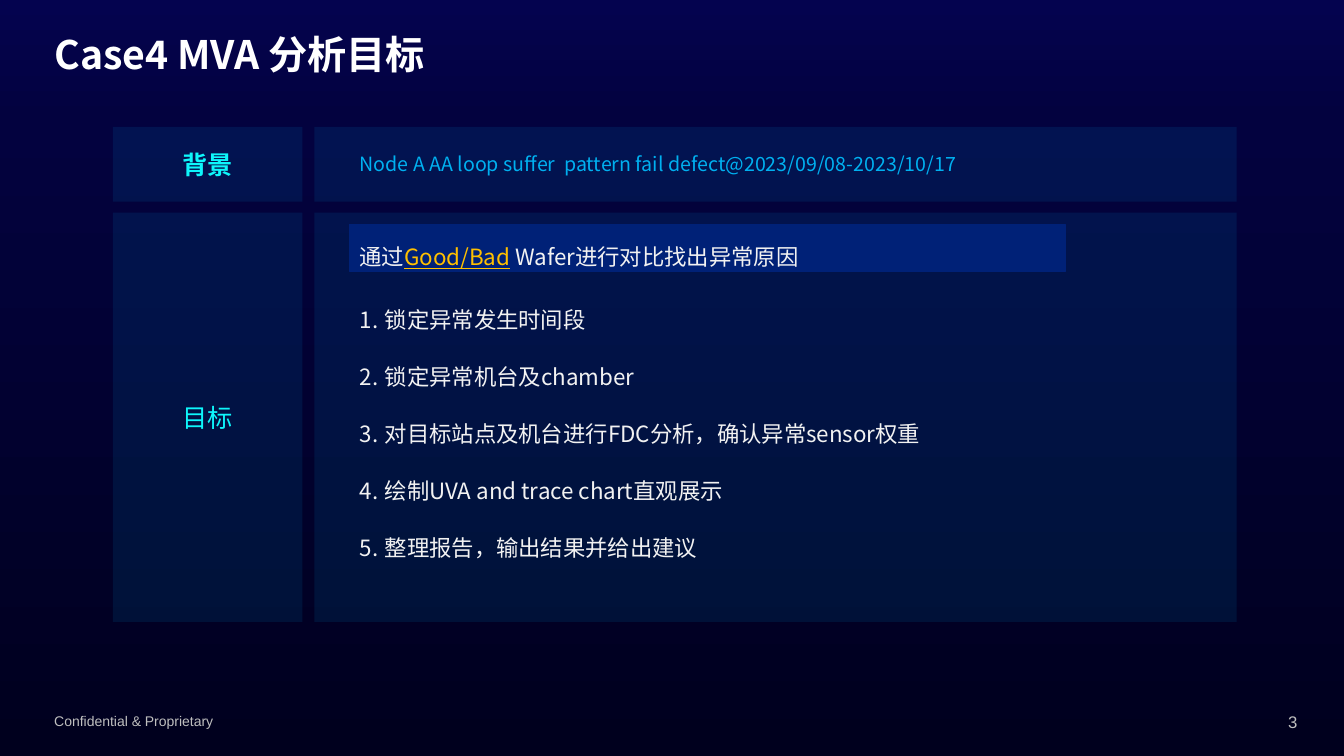
from lxml import etree
from pptx import Presentation
from pptx.dml.color import RGBColor
from pptx.enum.shapes import MSO_SHAPE
from pptx.enum.text import MSO_ANCHOR, PP_ALIGN
from pptx.oxml.ns import qn
from pptx.util import Pt

RECT = MSO_SHAPE.RECTANGLE
TOP, MIDDLE = MSO_ANCHOR.TOP, MSO_ANCHOR.MIDDLE
LEFT, CENTER, RIGHT = PP_ALIGN.LEFT, PP_ALIGN.CENTER, PP_ALIGN.RIGHT
JUSTIFY = PP_ALIGN.JUSTIFY
SANS, ARIAL = "Noto Sans CJK SC", "Arial"
HEX = {
    "sky": "00B0F0", "cyan": "0EF6FB", "navy": "002177", "gold": "FFC000",
    "pale": "F2F2F2", "white": "FFFFFF", "gray": "BFBFBF", "black": "000000",
    "dusk": "04034F", "deep": "03023F", "night": "00001E",
}
STOPS = [(0, "dusk"), (16, "deep"), (100, "night")]
GOALS = [
    "锁定异常发生时间段",
    "锁定异常机台及chamber",
    "对目标站点及机台进行FDC分析，确认异常sensor权重",
    "绘制UVA and trace chart直观展示",
    "整理报告，输出结果并给出建议",
]
LABEL = {"size": Pt(18), "name": SANS}
ITEM = {"size": Pt(16), "name": SANS}
LOOSE = {"alignment": JUSTIFY, "line_spacing": Pt(28.7), "space_after": Pt(12)}


def node(parent, tag, **attrs):
    """Append a drawing element with the given attributes."""
    child = etree.SubElement(parent, qn(tag))
    for key, value in attrs.items():
        child.set(key, str(value))
    return child


def style(thing, form):
    """Set each format value on the object."""
    for key, value in form.items():
        setattr(thing, key, value)


def write(para, text, color, form):
    """Add a run in one colour and font."""
    run = para.add_run()
    run.text = text
    style(run.font, form)
    run.font.color.rgb = RGBColor.from_string(HEX[color])
    node(run.font._element, "a:ea", typeface=form["name"])
    return run


def note(slide, box, text, color, form, align=LEFT):
    """Place a single line of free text in the box."""
    frame = slide.shapes.add_textbox(*map(Pt, box)).text_frame
    frame.word_wrap = True
    frame.paragraphs[0].alignment = align
    write(frame.paragraphs[0], text, color, form)


def panel(slide, box, color, alpha=100):
    """Draw a flat rectangle and return it."""
    shape = slide.shapes.add_shape(RECT, *map(Pt, box))
    shape.shadow.inherit = False
    shape.line.fill.background()
    shape.fill.solid()
    shape.fill.fore_color.rgb = RGBColor.from_string(HEX[color])
    if alpha < 100:
        tint = shape.fill._xPr.find(".//" + qn("a:srgbClr"))
        node(tint, "a:alpha", val=alpha * 1000)
    return shape


def backdrop(slide):
    """Fill the background with a vertical gradient."""
    fill = slide.background.fill
    fill.gradient()
    fill.gradient_angle = 270
    stops = fill._xPr.find(".//" + qn("a:gsLst"))
    for old in list(stops):
        stops.remove(old)
    for place, color in STOPS:
        stop = node(stops, "a:gs", pos=place * 1000)
        node(stop, "a:srgbClr", val=HEX[color])


def heading(slide, box, text):
    """Move and format the title placeholder."""
    title = slide.shapes.title
    left, top, width, height = map(Pt, box)
    style(title, {"left": left, "top": top, "width": width, "height": height})
    style(title.text_frame, {"vertical_anchor": MIDDLE, "word_wrap": True})
    para = title.text_frame.paragraphs[0]
    style(para, {"alignment": LEFT, "line_spacing": 0.9})
    form = {"size": Pt(28), "bold": True, "name": SANS}
    font = write(para, text, "white", form).font._element
    glow = etree.Element(qn("a:effectLst"))
    cast = node(glow, "a:outerShdw", blurRad=Pt(3), dist=Pt(3), dir=2700000)
    shade = node(cast, "a:srgbClr", val=HEX["black"])
    node(shade, "a:alpha", val=43000)
    font.find(qn("a:solidFill")).addnext(glow)


def row(slide, box, text, bold):
    """Draw a label panel and the content panel beside it."""
    left, top, width, height = box
    side, gap = 135.4, 8.6
    label = panel(slide, (left, top, side, height), "sky", 10)
    label.text_frame.vertical_anchor = MIDDLE
    para = label.text_frame.paragraphs[0]
    para.alignment = CENTER
    write(para, text, "cyan", {**LABEL, "bold": bold})
    rest = side + gap
    panel(slide, (left + rest, top, width - rest, height), "sky", 10)


def banner(slide, box):
    """Draw the highlighted method line."""
    shape = panel(slide, box, "navy")
    shape.line.color.rgb = RGBColor.from_string(HEX["navy"])
    shape.line.width = Pt(0.75)
    shape.text_frame.vertical_anchor = TOP
    para = shape.text_frame.paragraphs[0]
    style(para, LOOSE)
    write(para, "通过", "pale", ITEM)
    write(para, "Good/Bad", "gold", {**ITEM, "underline": True})
    write(para, " Wafer进行对比找出异常原因", "pale", ITEM)


def steps(slide, box):
    """List the numbered goals."""
    frame = slide.shapes.add_textbox(*map(Pt, box)).text_frame
    frame.word_wrap = True
    for index, text in enumerate(GOALS):
        para = frame.add_paragraph() if index else frame.paragraphs[0]
        style(para, LOOSE)
        write(para, text, "pale", ITEM)
        props = para._p.get_or_add_pPr()
        props.set("marL", str(Pt(18)))
        props.set("indent", str(-Pt(18)))
        node(props, "a:buFont", typeface=SANS)
        node(props, "a:buAutoNum", type="arabicPeriod")


def footer(slide, box):
    """Place the notice at the left and the page number at the right."""
    left, top, width, height = box
    note(slide, (left, top, 324, height), "Confidential & Proprietary",
         "gray", {"size": Pt(10), "name": ARIAL})
    note(slide, (left + width - 36, top - 0.7, 36, height), "3",
         "gray", {"size": Pt(12), "name": ARIAL}, RIGHT)


def main():
    """Build the slide and save it."""
    deck = Presentation()
    style(deck, {"slide_width": Pt(960), "slide_height": Pt(540)})
    slide = deck.slides.add_slide(deck.slide_layouts[5])
    backdrop(slide)
    heading(slide, (31.7, 21.6, 725.8, 38.2), "Case4 MVA 分析目标")
    row(slide, (80.6, 90.7, 802.8, 53.3), "背景", True)
    row(slide, (80.6, 151.9, 802.8, 292.3), "目标", False)
    note(slide, (249.8, 105.1, 474.5, 24.5),
         "Node A AA loop suffer  pattern fail defect@2023/09/08-2023/10/17",
         "sky", {"size": Pt(14), "name": SANS})
    banner(slide, (249.8, 160.6, 511.2, 33.1))
    steps(slide, (249.8, 205.9, 511.2, 198))
    footer(slide, (31.7, 505.4, 902.2, 20))
    deck.save("out.pptx")


if __name__ == "__main__":
    main()
